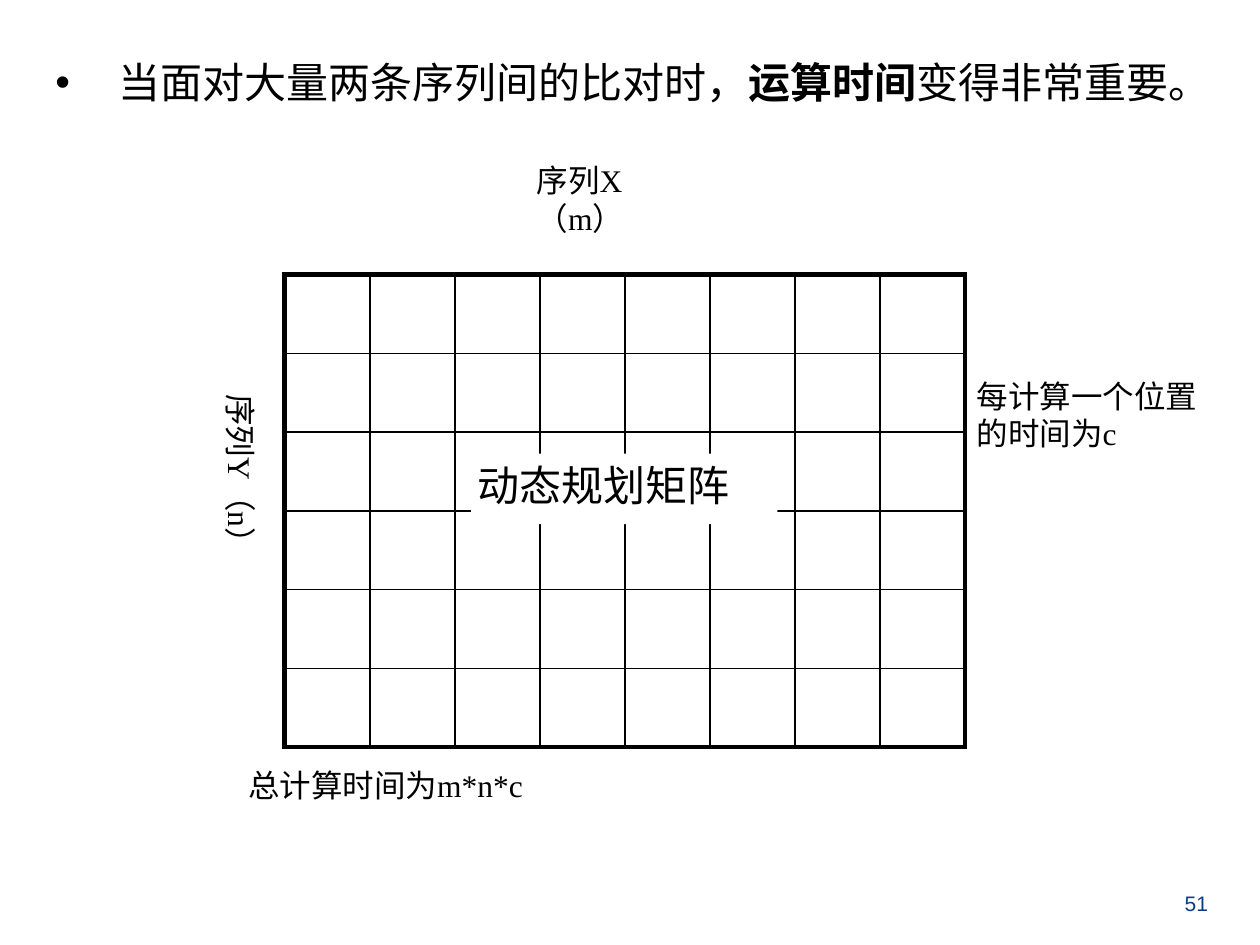
"""Build the slide on the running time of a dynamic programming matrix."""
from dataclasses import dataclass

from lxml import etree
from pptx import Presentation
from pptx.dml.color import RGBColor
from pptx.enum import text as tx
from pptx.oxml import ns
from pptx.util import Pt

BLACK = RGBColor(0, 0, 0)
WHITE = RGBColor(255, 255, 255)
BLUE = RGBColor(0x07, 0x3E, 0x87)
HAN = "Noto Sans CJK SC"
ROMAN = "Times New Roman"
ROWS, COLS = 6, 8
CELL_W, CELL_H = 48.6, 45
THIN, THICK = 1, 3


@dataclass(frozen=True)
class Run:
    text: str
    font: str = HAN
    bold: bool = False


@dataclass(frozen=True)
class Label:
    box: tuple[float, float, float, float]
    runs: tuple[Run, ...]
    size: float = 18
    color: RGBColor = BLACK
    turn: float = 0
    fill: RGBColor | None = None
    wrap: bool = True
    align: tx.PP_ALIGN = tx.PP_ALIGN.LEFT


LABELS = (
    Label((673.2, 505.4, 20.9, 20.9), (Run("51", "Arial"),), 12, BLUE,
          wrap=False, align=tx.PP_ALIGN.CENTER),
    Label((303.1, 88.6, 81.4, 65.5),
          (Run("序列"), Run("X", ROMAN), Run("（"), Run("m", ROMAN), Run("）"))),
    Label((53.3, 246.2, 123.1, 74.2),
          (Run("序列"), Run("Y", ROMAN), Run("（"), Run("n", ROMAN), Run("）")),
          turn=90),
    Label((269.3, 259.2, 175, 40.3), (Run("动态规划矩阵"),), 24, fill=WHITE),
    Label((554.4, 211.7, 138.2, 106.6),
          (Run("每计算一个位置的时间为"), Run("c", ROMAN))),
    Label((138.2, 434.2, 481.7, 40.3),
          (Run("总计算时间为"), Run("m*n*c", ROMAN))),
)
POINT = (
    Run("当面对大量两条序列间的比对时，", "Roboto"),
    Run("运算时间", "Roboto", True),
    Run("变得非常重要。", "Roboto"),
)


def place(shape, box: tuple[float, float, float, float]) -> None:
    shape.left, shape.top, shape.width, shape.height = map(Pt, box)


def inset(frame, gap: float) -> None:
    frame.margin_left = frame.margin_right = Pt(gap)
    frame.margin_top = frame.margin_bottom = Pt(gap)


def write(para, runs: tuple[Run, ...], size: float, color: RGBColor) -> None:
    for item in runs:
        run = para.add_run()
        run.text = item.text
        font = run.font
        font.name, font.size, font.bold = item.font, Pt(size), item.bold
        font.color.rgb = color
        east = etree.Element(ns.qn("a:ea"), typeface=HAN)
        run._r.rPr.find(ns.qn("a:latin")).addnext(east)


def add_label(slide, label: Label) -> None:
    shape = slide.shapes.add_textbox(*map(Pt, label.box))
    shape.rotation = label.turn
    if label.fill is not None:
        shape.fill.solid()
        shape.fill.fore_color.rgb = label.fill
    frame = shape.text_frame
    frame.word_wrap = label.wrap
    inset(frame, 3.6)
    para = frame.paragraphs[0]
    para.alignment = label.align
    write(para, label.runs, label.size, label.color)


def add_point(slide) -> None:
    body = slide.placeholders[1]
    place(body, (31.7, 32.4, 673.2, 34.6))
    frame = body.text_frame
    frame.auto_size = tx.MSO_AUTO_SIZE.NONE
    inset(frame, 0)
    para = frame.paragraphs[0]
    para.space_before = Pt(0)
    props = para._p.get_or_add_pPr()
    props.set("marL", str(Pt(36)))
    props.set("indent", str(Pt(-36)))
    etree.SubElement(props, ns.qn("a:buChar"), char="•")
    write(para, POINT, 24, BLACK)


def add_edges(cell, widths: dict[str, float]) -> None:
    cell.fill.background()
    props = cell._tc.get_or_add_tcPr()
    for spot, (side, width) in enumerate(widths.items()):
        line = etree.Element(ns.qn(f"a:ln{side}"), w=str(Pt(width)))
        fill = etree.SubElement(line, ns.qn("a:solidFill"))
        etree.SubElement(fill, ns.qn("a:srgbClr"), val=str(BLACK))
        props.insert(spot, line)


def add_matrix(slide) -> None:
    size = (162.7, 157, COLS * CELL_W, ROWS * CELL_H)
    table = slide.shapes.add_table(ROWS, COLS, *map(Pt, size)).table
    table.first_row = table.horz_banding = False
    for row in range(ROWS):
        for col in range(COLS):
            outer = {"L": col == 0, "R": col == COLS - 1,
                     "T": row == 0, "B": row == ROWS - 1}
            add_edges(table.cell(row, col),
                      {side: THICK if out else THIN
                       for side, out in outer.items()})


def main() -> None:
    deck = Presentation()
    deck.slide_width, deck.slide_height = Pt(720), Pt(540)
    slide = deck.slides.add_slide(deck.slide_layouts[1])
    title = slide.shapes.title._element
    title.getparent().remove(title)
    add_matrix(slide)
    for label in LABELS:
        add_label(slide, label)
    add_point(slide)
    deck.save("out.pptx")


if __name__ == "__main__":
    main()
